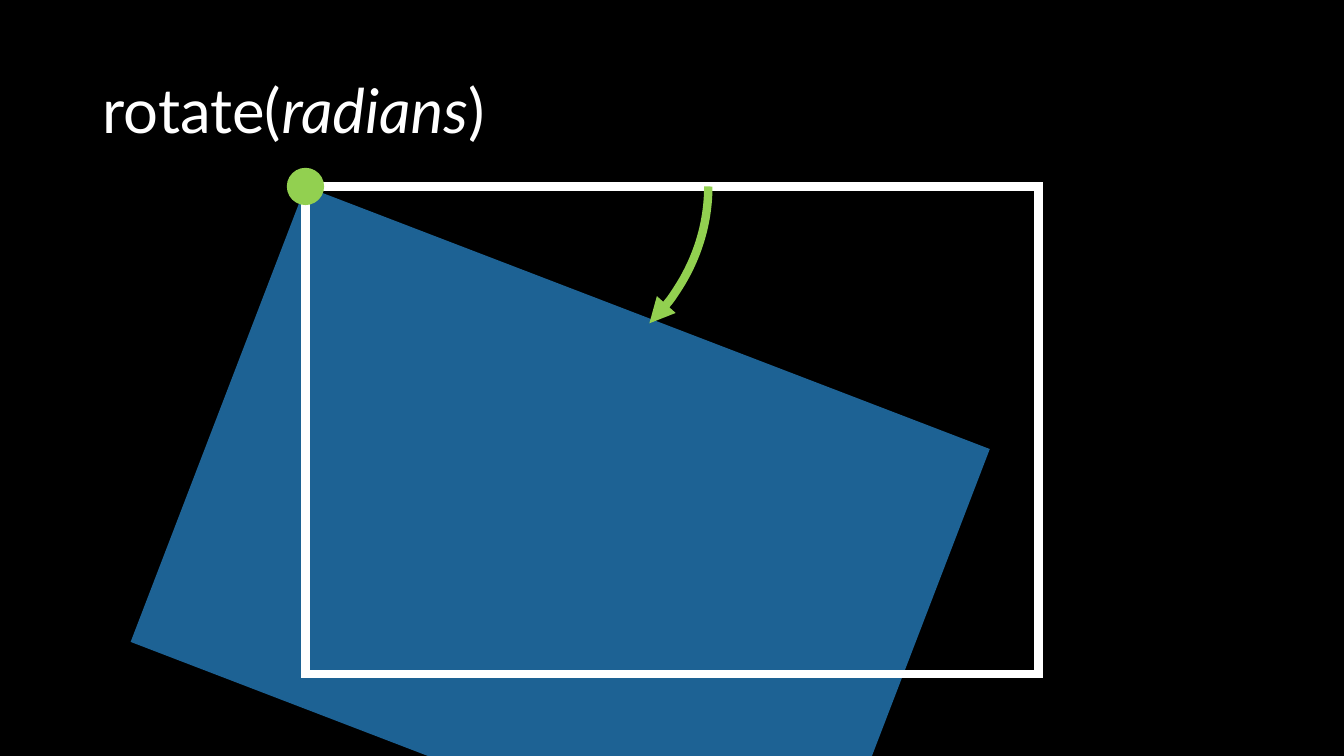
from math import cos, radians, sin

from lxml import etree
from pptx import Presentation
from pptx.dml.color import RGBColor
from pptx.enum.shapes import MSO_SHAPE as Kind
from pptx.enum.text import MSO_ANCHOR as Anchor
from pptx.oxml.ns import qn
from pptx.util import Inches, Pt

TITLE = [("rotate(", False), ("radians", True), (")", False)]
COLORS = {"back": "000000", "text": "FFFFFF", "box": "1D6294", "mark": "92D050"}
PIVOT = (3.03, 1.85)
SIZE = (7.27, 4.84)
ANGLE = 21
DOT = 0.37
ARC = {"mid": (4.8, 1.85), "size": (4.02, 4.45), "adjust": (162, 185.76)}


def tint(name):
    return RGBColor.from_string(COLORS[name])


def add_text(slide, runs, left, top, width, height, font="Lato", size=44, color="text"):
    box = slide.shapes.add_textbox(*map(Inches, (left, top, width, height)))
    frame = box.text_frame
    frame.word_wrap = True
    frame.vertical_anchor = Anchor.MIDDLE
    line = frame.paragraphs[0]
    line.line_spacing = 0.9
    for text, slant in runs:
        run = line.add_run()
        run.text = text
        run.font.name = font
        run.font.size = Pt(size)
        run.font.italic = slant
        run.font.color.rgb = tint(color)


def add_shape(slide, kind, mid, size, fill=None, line=None, turn=0):
    left, top = (m - s / 2 for m, s in zip(mid, size))
    shape = slide.shapes.add_shape(kind, *map(Inches, (left, top, *size)))
    shape.shadow.inherit = False
    shape.rotation = turn
    if fill:
        shape.fill.solid()
        shape.fill.fore_color.rgb = tint(fill)
    else:
        shape.fill.background()
    if line:
        shape.line.color.rgb = tint(line)
        shape.line.width = Pt(6)
        etree.SubElement(shape.line._get_or_add_ln(), qn("a:miter"), lim="800000")
    else:
        shape.line.fill.background()
    return shape


def main():
    deck = Presentation()
    deck.slide_width, deck.slide_height = Inches(13.33), Inches(7.5)
    slide = deck.slides.add_slide(deck.slide_layouts[6])
    slide.background.fill.solid()
    slide.background.fill.fore_color.rgb = tint("back")

    px, py = PIVOT
    dx, dy = (s / 2 for s in SIZE)
    c, s = cos(radians(ANGLE)), sin(radians(ANGLE))
    turned = (px + dx * c - dy * s, py + dx * s + dy * c)

    add_shape(slide, Kind.RECTANGLE, turned, SIZE, fill="box", turn=ANGLE)
    add_text(slide, TITLE, 0.92, 0.4, 11.5, 1.45)
    add_shape(slide, Kind.RECTANGLE, (px + dx, py + dy), SIZE, line="text")
    arc = add_shape(slide, Kind.ARC, ARC["mid"], ARC["size"], line="mark", turn=90)
    for i, value in enumerate(ARC["adjust"]):
        arc.adjustments[i] = value
    etree.SubElement(arc.line._get_or_add_ln(), qn("a:tailEnd"), type="triangle")
    add_shape(slide, Kind.OVAL, PIVOT, (DOT, DOT), fill="mark")
    deck.save("out.pptx")


if __name__ == "__main__":
    main()
